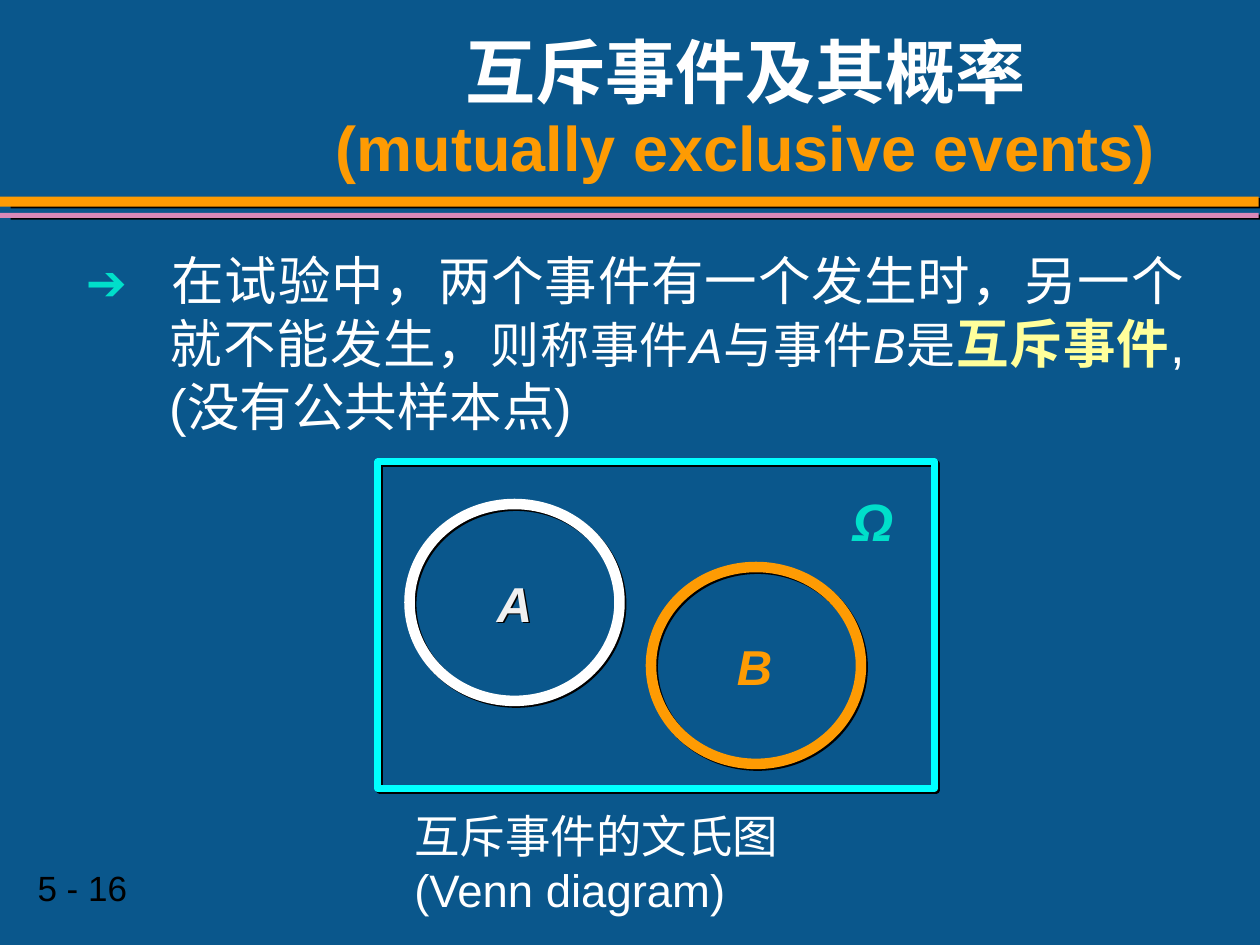
from lxml.etree import SubElement
from pptx import Presentation
from pptx.dml.color import RGBColor
from pptx.enum.shapes import MSO_SHAPE as SHAPE
from pptx.enum.text import MSO_ANCHOR as ANCHOR, PP_ALIGN as ALIGN
from pptx.oxml.ns import qn
from pptx.util import Pt

NAVY = RGBColor(0x0A, 0x57, 0x8C)
ORANGE = RGBColor(0xFE, 0x9B, 0x03)
PINK = RGBColor(0xD9, 0x89, 0xB8)
TEAL = RGBColor(0x00, 0xDF, 0xCA)
CYAN = RGBColor(0x00, 0xFF, 0xFF)
YELLOW = RGBColor(0xFF, 0xFF, 0x9B)
PALE = RGBColor(0xF0, 0xF0, 0xF0)
WHITE = RGBColor(0xFF, 0xFF, 0xFF)
BLACK = RGBColor(0x00, 0x00, 0x00)

TITLE = [
    ("互斥事件及其概率\n", dict(size=40, font="Vollkorn", bold=True)),
    ("(mutually exclusive events)", dict(size=36, color=ORANGE, bold=True)),
]
BODY = [
    ("➔\t", dict(size=28, color=TEAL)),
    ("在试验中，两个事件有一个发生时，另一个就不能发生，", dict(size=30)),
    ("则称事件", dict(size=28)),
    ("A", dict(size=28, italic=True)),
    ("与事件", dict(size=28)),
    ("B", dict(size=28, italic=True)),
    ("是", dict(size=28)),
    ("互斥事件", dict(size=30, color=YELLOW, bold=True)),
    (",(没有公共样本点)", dict(size=30)),
]
PAGE = [("5 - 16", dict(size=20, color=BLACK))]
CAPTION = [("互斥事件的文氏图(Venn diagram)", dict(size=26))]
EVENT_A = [("A", dict(size=28, color=PALE, bold=True, italic=True))]
EVENT_B = [("B", dict(size=28, color=ORANGE, bold=True, italic=True))]
OMEGA = [("Ω", dict(size=30, color=TEAL, bold=True, italic=True))]

BARS = [(112.3, 5.8, ORANGE), (121.7, 2.9, PINK)]
SPACE = (216, 264, 318, 186.5)
CIRCLE_SIZE = (120, 112.5)
CIRCLES = [(372, 324, ORANGE, None), (234, 288, WHITE, EVENT_A)]


def add_run(p, text, size=28, font="Arial", color=WHITE, bold=False, italic=False):
    r = p.add_run()
    r.text = text.rstrip("\n")
    r.font.size, r.font.name = Pt(size), font
    r.font.bold, r.font.italic = bold, italic
    r.font.color.rgb = color
    if text.endswith("\n"):
        p.add_line_break()


def write(sp, runs, align=ALIGN.LEFT, anchor=ANCHOR.TOP, wrap=True, spacing=None, hang=0):
    tf = sp.text_frame
    tf.word_wrap, tf.vertical_anchor = wrap, anchor
    tf.margin_left = tf.margin_right = Pt(7.2)
    tf.margin_top = tf.margin_bottom = Pt(3.6)
    p = tf.paragraphs[0]
    p.alignment = align
    if spacing:
        p.line_spacing = spacing
    if hang:
        pPr = p._p.get_or_add_pPr()
        pPr.set("marL", str(Pt(hang)))
        pPr.set("indent", str(-Pt(hang)))
    for text, style in runs:
        add_run(p, text, **style)


def add_text(s, box, runs, **layout):
    write(s.shapes.add_textbox(*map(Pt, box)), runs, **layout)


def style_shape(sp, distance, angle, fill=None, line=None, width=0):
    if fill is None:
        sp.fill.background()
    else:
        sp.fill.solid()
        sp.fill.fore_color.rgb = fill
    if line is None:
        sp.line.fill.background()
    else:
        sp.line.color.rgb = line
        sp.line.width = Pt(width)
    sp.shadow.inherit = False
    effects = sp._element.spPr.find(qn("a:effectLst"))
    shadow = SubElement(effects, qn("a:outerShdw"), dist=str(Pt(distance)),
                        dir=str(angle * 60000), algn="ctr", rotWithShape="0")
    SubElement(shadow, qn("a:srgbClr"), val=str(BLACK))


def add_sample_space(s):
    x, y, w, h = SPACE
    builder = s.shapes.build_freeform(Pt(x), Pt(y + h))
    corners = [(x + w, y + h), (x + w, y), (x, y)]
    builder.add_line_segments([(Pt(cx), Pt(cy)) for cx, cy in corners], close=True)
    style_shape(builder.convert_to_shape(), 1.4, 45, line=CYAN, width=4)


def main():
    prs = Presentation()
    prs.slide_width, prs.slide_height = Pt(720), Pt(540)
    s = prs.slides.add_slide(prs.slide_layouts[6])
    s.background.fill.solid()
    s.background.fill.fore_color.rgb = NAVY

    for top, height, color in BARS:
        bar = s.shapes.add_shape(SHAPE.RECTANGLE, 0, Pt(top), Pt(719.3), Pt(height))
        style_shape(bar, 6.1, 9, fill=color)

    add_text(s, (14.4, 491.8, 134.6, 31), PAGE)
    add_text(s, (168, 18, 516, 90), TITLE, align=ALIGN.CENTER,
             anchor=ANCHOR.MIDDLE, spacing=0.95)
    add_text(s, (42, 138, 642, 354), BODY, align=ALIGN.JUSTIFY, hang=48)

    add_sample_space(s)
    for left, top, color, label in CIRCLES:
        circle = s.shapes.add_shape(SHAPE.OVAL, *map(Pt, (left, top, *CIRCLE_SIZE)))
        style_shape(circle, 1.4, 45, line=color, width=6)
        if label:
            write(circle, label, align=ALIGN.CENTER, anchor=ANCHOR.MIDDLE, wrap=False)
    add_text(s, (414, 360, 34.6, 41), EVENT_B, wrap=False)
    add_text(s, (480, 276, 43.2, 43.2), OMEGA)
    add_text(s, (229.7, 458, 283, 39), CAPTION)

    prs.save("out.pptx")


if __name__ == "__main__":
    main()
